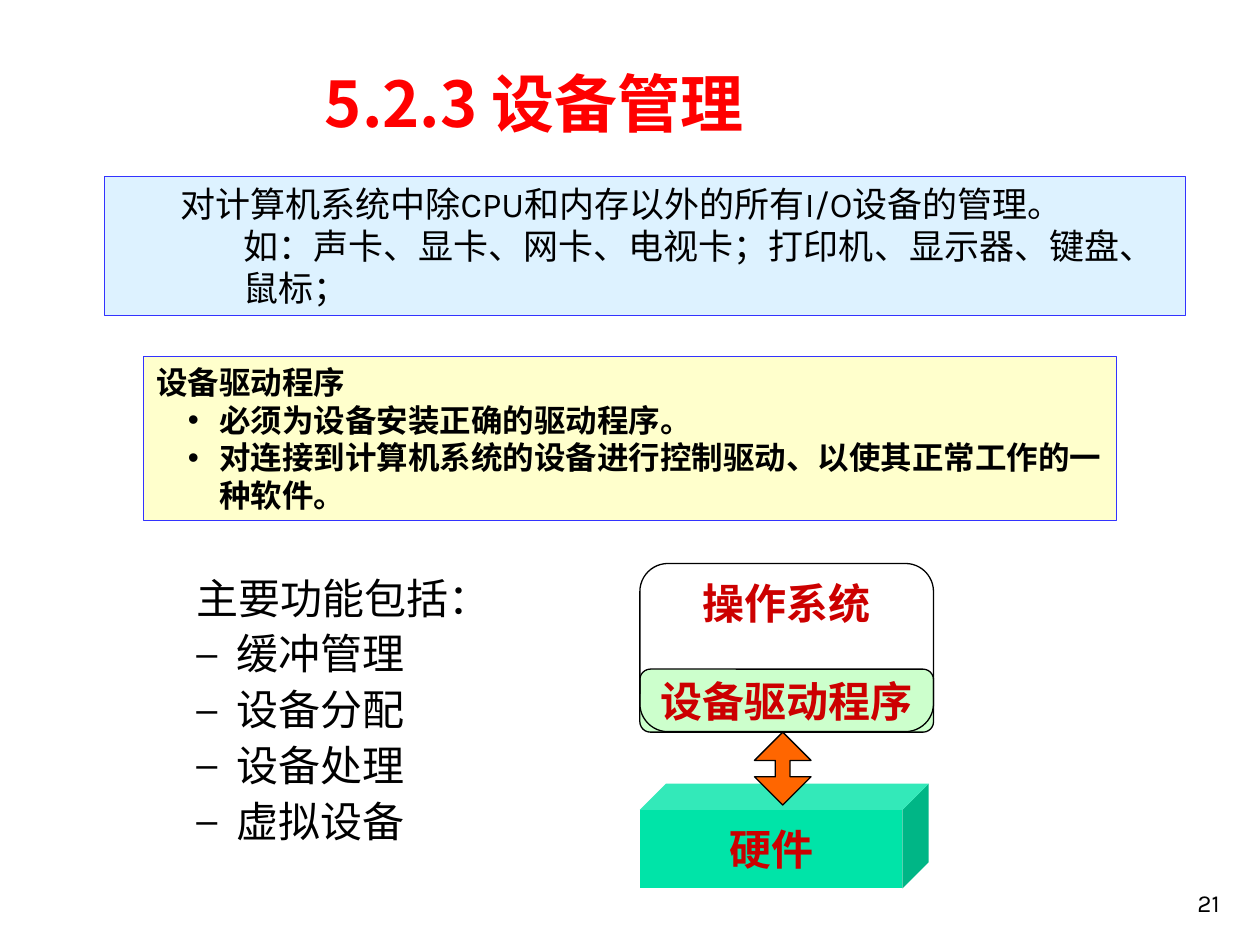
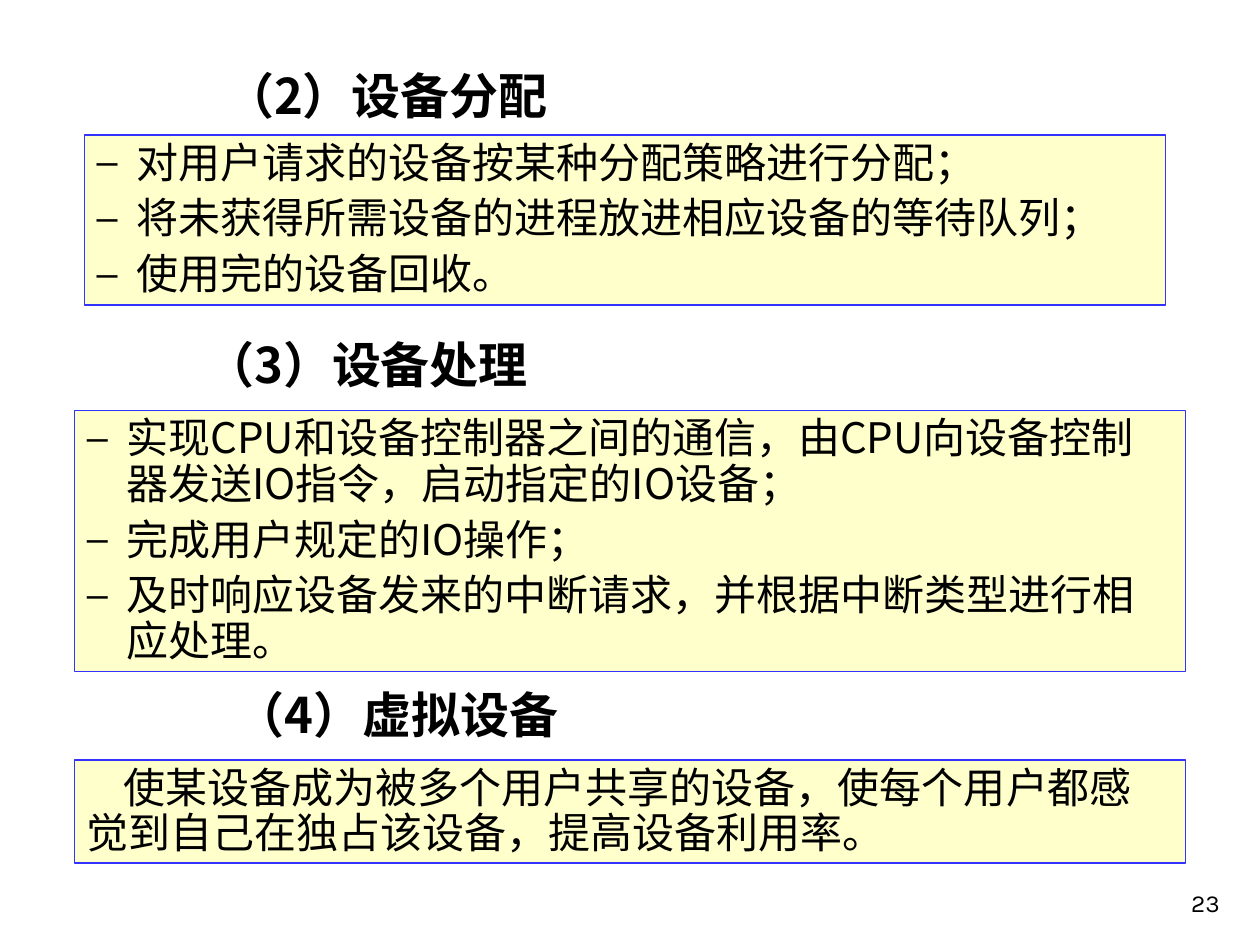
from dataclasses import dataclass

from lxml.etree import SubElement
from pptx import Presentation
from pptx.dml.color import RGBColor
from pptx.enum.shapes import MSO_SHAPE
from pptx.enum.text import MSO_ANCHOR, PP_ALIGN
from pptx.oxml.ns import qn
from pptx.util import Cm, Pt


@dataclass(frozen=True)
class Theme:
    black: str = "000000"
    title_red: str = "FF0000"
    label_red: str = "CC0000"
    border_blue: str = "3333FF"
    pale_yellow: str = "FFFFCC"
    pale_blue: str = "DDF2FF"
    pale_green: str = "CCFFCC"
    hardware_green: str = "00E4A8"
    arrow_orange: str = "FF6600"
    heading_font: str = "Noto Sans CJK SC"
    body_font: str = "Karla"
    label_font: str = "Arial"
    title_size: int = 36
    heading_size: int = 28
    list_size: int = 24
    definition_size: int = 20
    driver_size: int = 18
    number_size: int = 14
    tight: float = 1.08
    normal: float = 1.2


THEME = Theme()


def set_bullet(paragraph, character, size_percent=100):
    properties = paragraph._p.get_or_add_pPr()
    SubElement(properties, qn("a:buSzPct")).set("val", str(size_percent * 1000))
    SubElement(properties, qn("a:buFont")).set("typeface", THEME.label_font)
    SubElement(properties, qn("a:buChar")).set("char", character)


def set_indent(paragraph, left, first_line=0):
    """Set the left margin and first-line offset in centimetres."""
    properties = paragraph._p.get_or_add_pPr()
    properties.set("marL", str(Cm(left)))
    properties.set("indent", str(Cm(first_line)))


def set_font(paragraph, name, size, color=THEME.black, bold=False):
    font = paragraph.font
    font.name, font.size, font.bold = name, Pt(size), bold
    font.color.rgb = RGBColor.from_string(color)
    defaults = paragraph._p.pPr.find(qn("a:defRPr"))
    latin = defaults.find(qn("a:latin"))
    east_asian = SubElement(defaults, qn("a:ea"))
    east_asian.set("typeface", name)
    latin.addnext(east_asian)


def add_lines(shape, lines):
    """Fill the shape with one left-aligned paragraph per line."""
    frame = shape.text_frame
    frame.word_wrap = True
    frame.vertical_anchor = MSO_ANCHOR.TOP
    paragraphs = []
    for index, line in enumerate(lines):
        paragraph = frame.add_paragraph() if index else frame.paragraphs[0]
        paragraph.text = line
        paragraph.alignment = PP_ALIGN.LEFT
        paragraphs.append(paragraph)
    return paragraphs


def set_spacing(paragraphs, size, ratio, gap=0):
    for index, paragraph in enumerate(paragraphs):
        paragraph.line_spacing = Pt(round(size * ratio, 1))
        paragraph.space_before = Pt(gap if index else 0)


def add_box(slide, kind, place, fill=None, line=None):
    shape = slide.shapes.add_shape(kind, *map(Cm, place))
    shape.shadow.inherit = False
    if fill:
        shape.fill.solid()
        shape.fill.fore_color.rgb = RGBColor.from_string(fill)
    else:
        shape.fill.background()
    if line:
        shape.line.color.rgb = RGBColor.from_string(line)
        shape.line.width = Pt(0.75)
    else:
        shape.line.fill.background()
    return shape


def add_panel(slide, place, fill=THEME.pale_yellow):
    return add_box(slide, MSO_SHAPE.RECTANGLE, place, fill, THEME.border_blue)


def add_heading(slide, text, place, size=THEME.heading_size, color=THEME.black):
    box = slide.shapes.add_textbox(*map(Cm, place))
    paragraphs = add_lines(box, [text])
    set_spacing(paragraphs, size, THEME.tight)
    set_font(paragraphs[0], THEME.heading_font, size, color, bold=True)


def add_dash_list(shape, items, intro=None):
    paragraphs = add_lines(shape, ([intro] if intro else []) + items)
    set_spacing(paragraphs, THEME.list_size, THEME.tight, gap=6)
    for paragraph in paragraphs[-len(items):]:
        set_indent(paragraph, 0.8, -0.8)
        set_bullet(paragraph, "–", 90)
    for paragraph in paragraphs:
        set_font(paragraph, THEME.heading_font, THEME.list_size)


def add_label(shape, text, anchor=MSO_ANCHOR.MIDDLE):
    frame = shape.text_frame
    frame.word_wrap = False
    frame.vertical_anchor = anchor
    paragraph = frame.paragraphs[0]
    paragraph.text = text
    paragraph.alignment = PP_ALIGN.CENTER
    set_font(paragraph, THEME.label_font, THEME.list_size, THEME.label_red, bold=True)


def add_slide_number(slide, number):
    box = slide.shapes.add_textbox(Cm(19.56), Cm(17.35), Cm(5.28), Cm(1.27))
    paragraph = add_lines(box, [str(number)])[0]
    box.text_frame.vertical_anchor = MSO_ANCHOR.BOTTOM
    paragraph.alignment = PP_ALIGN.RIGHT
    set_font(paragraph, THEME.body_font, THEME.number_size)


def add_definition(slide):
    panel = add_panel(slide, (2.11, 3.56, 21.79, 2.8), THEME.pale_blue)
    paragraphs = add_lines(panel, [
        "对计算机系统中除CPU和内存以外的所有I/O设备的管理。",
        "如：声卡、显卡、网卡、电视卡；打印机、显示器、键盘、鼠标；",
    ])
    set_spacing(paragraphs, THEME.definition_size, THEME.normal)
    for paragraph, left in zip(paragraphs, (1.27, 2.54)):
        set_indent(paragraph, left)
        set_font(paragraph, THEME.body_font, THEME.definition_size)


def add_driver_note(slide):
    panel = add_panel(slide, (2.9, 7.19, 19.61, 3.3))
    paragraphs = add_lines(panel, [
        "设备驱动程序",
        "必须为设备安装正确的驱动程序。",
        "对连接到计算机系统的设备进行控制驱动、以使其正常工作的一种软件。",
    ])
    set_spacing(paragraphs, THEME.driver_size, THEME.normal)
    for paragraph in paragraphs[1:]:
        set_indent(paragraph, 1.27, -0.63)
        set_bullet(paragraph, "•")
    for paragraph in paragraphs:
        set_font(paragraph, THEME.body_font, THEME.driver_size, bold=True)


def add_driver_diagram(slide):
    left, width = 12.9, 5.92
    hardware = add_box(slide, MSO_SHAPE.CUBE, (left, 15.8, 5.82, 2.11),
                       THEME.hardware_green)
    add_label(hardware, "硬件")
    driver = add_box(slide, MSO_SHAPE.ROUNDED_RECTANGLE, (left, 13.49, width, 1.27),
                     THEME.pale_green, THEME.black)
    add_label(driver, "设备驱动程序")
    arrow = add_box(slide, MSO_SHAPE.UP_DOWN_ARROW, (15.21, 14.76, 1.14, 1.47),
                    THEME.arrow_orange, THEME.black)
    arrow.adjustments[1] = 0.26
    system = add_box(slide, MSO_SHAPE.ROUNDED_RECTANGLE, (left, 11.36, width, 3.39),
                     line=THEME.black)
    add_label(system, "操作系统", MSO_ANCHOR.TOP)


def build_overview(slide):
    add_heading(slide, "5.2.3 设备管理", (6.3, 1.32, 9.78, 1.63),
                THEME.title_size, THEME.title_red)
    functions = slide.shapes.add_textbox(Cm(3.71), Cm(11.51), Cm(7.87), Cm(5.66))
    add_dash_list(functions, ["缓冲管理", "设备分配", "设备处理", "虚拟设备"],
                  intro="主要功能包括：")
    add_driver_note(slide)
    add_driver_diagram(slide)
    add_definition(slide)
    add_slide_number(slide, 21)


def build_functions(slide):
    add_heading(slide, "（2）设备分配", (4.29, 1.32, 10.67, 1.32))
    add_dash_list(add_panel(slide, (1.7, 2.72, 21.79, 3.43)), [
        "对用户请求的设备按某种分配策略进行分配；",
        "将未获得所需设备的进程放进相应设备的等待队列；",
        "使用完的设备回收。",
    ])
    add_heading(slide, "（3）设备处理", (3.89, 6.73, 9.88, 1.32))
    add_dash_list(add_panel(slide, (1.5, 8.28, 22.4, 5.26)), [
        "实现CPU和设备控制器之间的通信，由CPU向设备控制器发送IO指令，启动指定的IO设备；",
        "完成用户规定的IO操作；",
        "及时响应设备发来的中断请求，并根据中断类型进行相应处理。",
    ])
    add_heading(slide, "（4）虚拟设备", (4.5, 13.79, 8, 1.32))
    paragraphs = add_lines(add_panel(slide, (1.5, 15.32, 22.4, 2.08)), [
        "使某设备成为被多个用户共享的设备，使每个用户都感觉到自己在独占该设备，提高设备利用率。",
    ])
    set_spacing(paragraphs, THEME.list_size, THEME.tight)
    set_indent(paragraphs[0], 0, 0.75)
    set_font(paragraphs[0], THEME.heading_font, THEME.list_size)
    add_slide_number(slide, 23)


def main():
    presentation = Presentation()
    presentation.slide_width, presentation.slide_height = Cm(25.4), Cm(19.05)
    blank = presentation.slide_layouts[6]
    for build in (build_overview, build_functions):
        build(presentation.slides.add_slide(blank))
    presentation.save("out.pptx")


if __name__ == "__main__":
    main()
